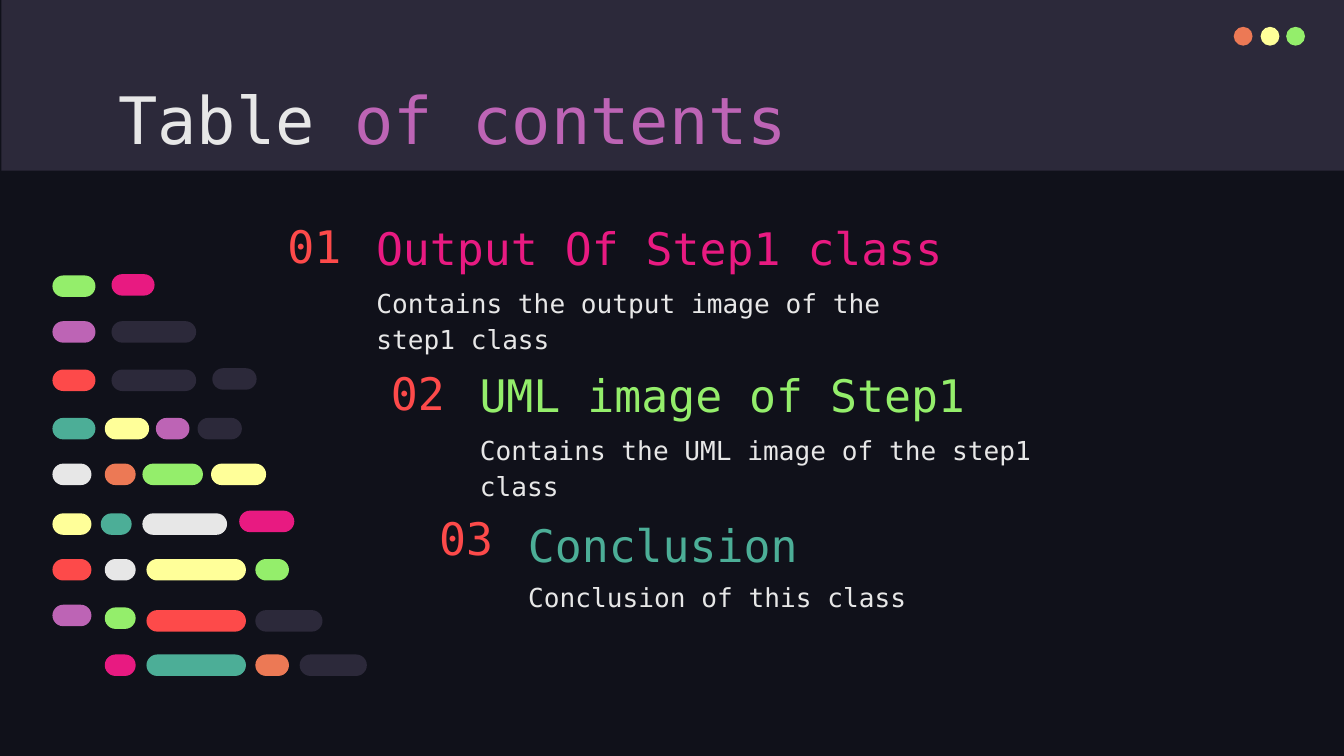
from lxml import etree
from pptx import Presentation
from pptx.dml.color import RGBColor
from pptx.enum.shapes import MSO_SHAPE
from pptx.enum.text import MSO_ANCHOR, MSO_AUTO_SIZE, PP_ALIGN
from pptx.oxml.ns import qn
from pptx.util import Inches, Pt

RECTANGLE, OVAL, PILL = MSO_SHAPE.RECTANGLE, MSO_SHAPE.OVAL, MSO_SHAPE.ROUNDED_RECTANGLE
TOP, MIDDLE, BOTTOM = MSO_ANCHOR.TOP, MSO_ANCHOR.MIDDLE, MSO_ANCHOR.BOTTOM
NO_AUTOFIT = MSO_AUTO_SIZE.NONE
LEFT = PP_ALIGN.LEFT

FONT = "DejaVu Sans Mono"
COMPARISON_LAYOUT = 4
SLIDE_WIDTH = 10
SLIDE_HEIGHT = SLIDE_WIDTH * 9 / 16
PILL_HEIGHT = 0.16
COLORS = {
    "night": "10111A", "slate": "2C293A", "white": "E7E7E7",
    "purple": "BD64B5", "red": "FD4A4A", "pink": "E81A81",
    "green": "94EE6B", "teal": "4CAE97", "orange": "EC7955",
    "yellow": "FFFF99",
}

# Each entry: number, heading, description, color, left, top,
# heading width, number height, description top
ENTRIES = [
    ("01", "Output Of Step1 class", "Contains the output image of the step1 class",
     "pink", 2.7, 1.61, 5.73, 0.43, 2),
    ("02", "UML image of Step1", "Contains the UML image of the step1 class",
     "green", 3.47, 2.71, 4.6, 0.43, 3.1),
    ("03", "Conclusion", "Conclusion of this class",
     "teal", 3.83, 3.82, 4.6, 0.36, 4.19),
]

# Rows of code pills: left, top, width, color
PILL_ROWS = [
    [(0.39, 2.05, 0.32, "green"), (0.83, 2.04, 0.32, "pink")],
    [(0.39, 2.39, 0.32, "purple"), (0.83, 2.39, 0.63, "slate")],
    [(0.39, 2.75, 0.32, "red"), (0.83, 2.75, 0.63, "slate"), (1.58, 2.74, 0.33, "slate")],
    [(0.39, 3.11, 0.32, "teal"), (0.78, 3.11, 0.33, "yellow"),
     (1.16, 3.11, 0.25, "purple"), (1.47, 3.11, 0.33, "slate")],
    [(0.39, 3.45, 0.29, "white"), (0.78, 3.45, 0.23, "orange"),
     (1.06, 3.45, 0.45, "green"), (1.57, 3.45, 0.41, "yellow")],
    [(0.39, 3.82, 0.29, "yellow"), (0.75, 3.82, 0.23, "teal"),
     (1.06, 3.82, 0.63, "white"), (1.78, 3.8, 0.41, "pink")],
    [(0.39, 4.16, 0.29, "red"), (0.78, 4.16, 0.23, "white"),
     (1.09, 4.16, 0.74, "yellow"), (1.9, 4.16, 0.25, "green")],
    [(0.39, 4.5, 0.29, "purple"), (0.78, 4.52, 0.23, "green"),
     (1.09, 4.54, 0.74, "red"), (1.9, 4.54, 0.5, "slate")],
    [(0.78, 4.87, 0.23, "pink"), (1.09, 4.87, 0.74, "teal"),
     (1.9, 4.87, 0.25, "orange"), (2.23, 4.87, 0.5, "slate")],
]


def rgb(name):
    return RGBColor.from_string(COLORS[name])


def add_filled(page, kind, left, top, width, height, color):
    shape = page.shapes.add_shape(
        kind, Inches(left), Inches(top), Inches(width), Inches(height))
    shape.shadow.inherit = False
    shape.fill.solid()
    shape.fill.fore_color.rgb = rgb(color)
    shape.line.fill.background()
    return shape


def place(box, left, top, width, height):
    box.left, box.top = Inches(left), Inches(top)
    box.width, box.height = Inches(width), Inches(height)


def style_text(box, size, color, anchor=TOP, spacing=1.0):
    frame = box.text_frame
    frame.word_wrap = True
    frame.auto_size = NO_AUTOFIT
    frame.vertical_anchor = anchor
    frame.margin_left = frame.margin_right = Inches(0.1)
    frame.margin_top = frame.margin_bottom = Inches(0.1)
    para = frame.paragraphs[0]
    para.alignment = LEFT
    para.line_spacing = spacing
    para.space_before = Pt(0)
    para.font.name = FONT
    para.font.size = Pt(size)
    para.font.bold = False
    para.font.color.rgb = rgb(color)
    return para


def add_label(page, text, left, top, width, height, color, anchor, spacing=1.0):
    box = page.shapes.add_textbox(
        Inches(left), Inches(top), Inches(width), Inches(height))
    box.text_frame.text = text
    style_text(box, 24, color, anchor, spacing)


def fill_title(page):
    title = page.shapes.title
    place(title, 0.78, 0.49, 8.43, 0.63)
    para = style_text(title, 35, "white")
    for text, color in (("Table ", "white"), ("of contents", "purple")):
        span = para.add_run()
        span.text = text
        span.font.color.rgb = rgb(color)


def fill_description(box, text, left, top):
    place(box, left, top, 4.6, 0.63)
    box.text_frame.text = text
    para = style_text(box, 14, "white", spacing=1.15)
    # Plain paragraph without bullet or hanging indent
    properties = para._p.get_or_add_pPr()
    properties.set("marL", "0")
    properties.set("indent", "0")
    bullet = etree.Element(qn("a:buNone"))
    properties.find(qn("a:defRPr")).addprevious(bullet)


def add_header(page):
    band = add_filled(page, RECTANGLE, 0.01, 0, 10, 1.27, "slate")
    band.element.getparent().insert(2, band.element)  # behind the title
    for left, color in ((9.18, "orange"), (9.38, "yellow"), (9.57, "green")):
        add_filled(page, OVAL, left, 0.2, 0.14, 0.14, color)


def add_entries(page):
    bodies = [box for box in page.placeholders if box.placeholder_format.idx in (1, 2, 3, 4)]
    for body, entry in zip(bodies, ENTRIES):
        number, heading, text, color, left, top, width, number_height, text_top = entry
        fill_description(body, text, left, text_top)
        add_label(page, number, left - 0.66, top, 0.66, number_height, "red", MIDDLE)
        add_label(page, heading, left, top, width, 0.53, color, BOTTOM, 1.15)
    for unused in bodies[len(ENTRIES):]:
        unused.element.getparent().remove(unused.element)


def add_code_pills(page):
    for row in PILL_ROWS:
        for left, top, width, color in row:
            pill = add_filled(page, PILL, left, top, width, PILL_HEIGHT, color)
            pill.adjustments[0] = 0.5


def main():
    deck = Presentation()
    deck.slide_width, deck.slide_height = Inches(SLIDE_WIDTH), Inches(SLIDE_HEIGHT)
    page = deck.slides.add_slide(deck.slide_layouts[COMPARISON_LAYOUT])
    page.background.fill.solid()
    page.background.fill.fore_color.rgb = rgb("night")

    fill_title(page)
    add_header(page)
    add_entries(page)
    add_code_pills(page)
    deck.save("out.pptx")


if __name__ == "__main__":
    main()
